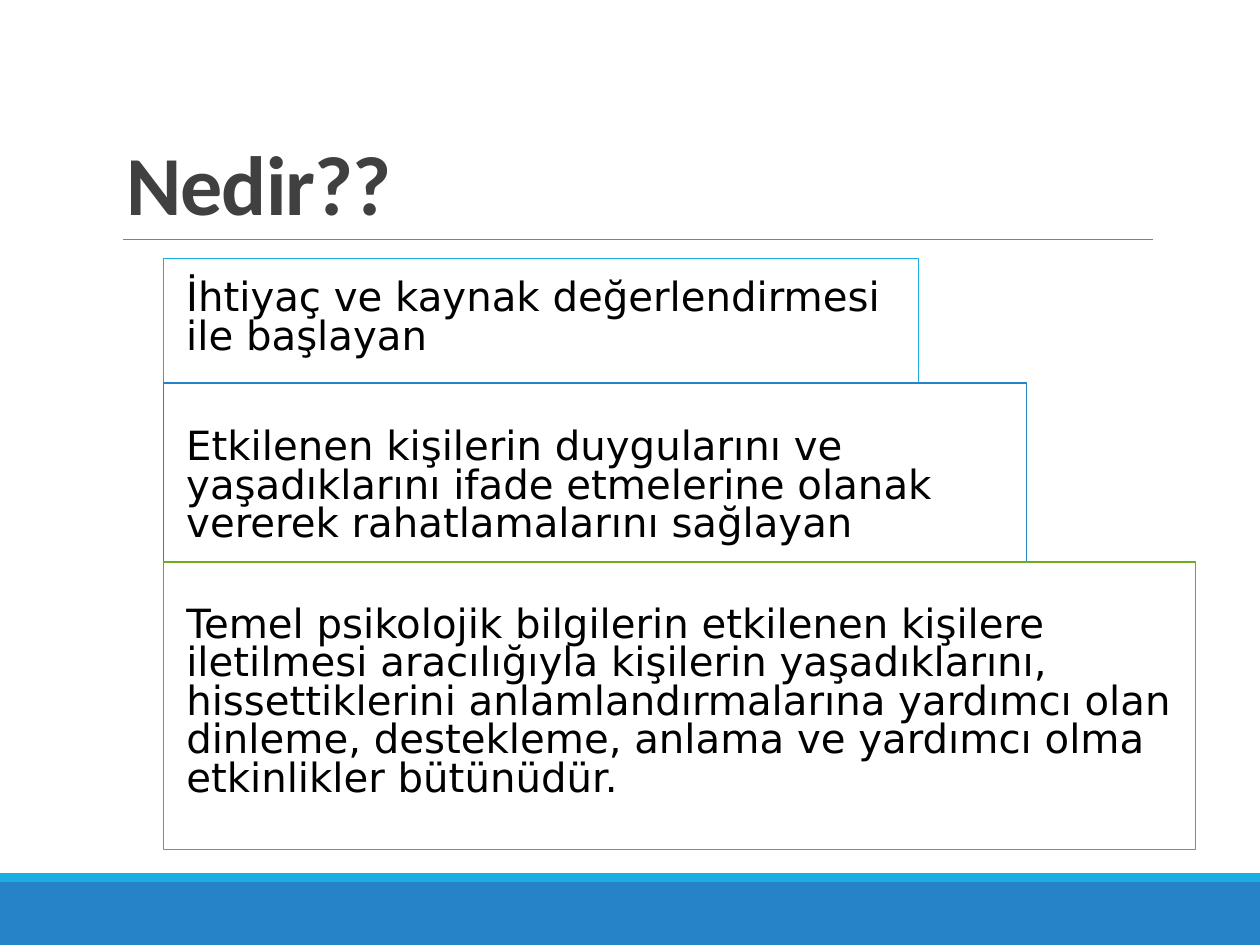
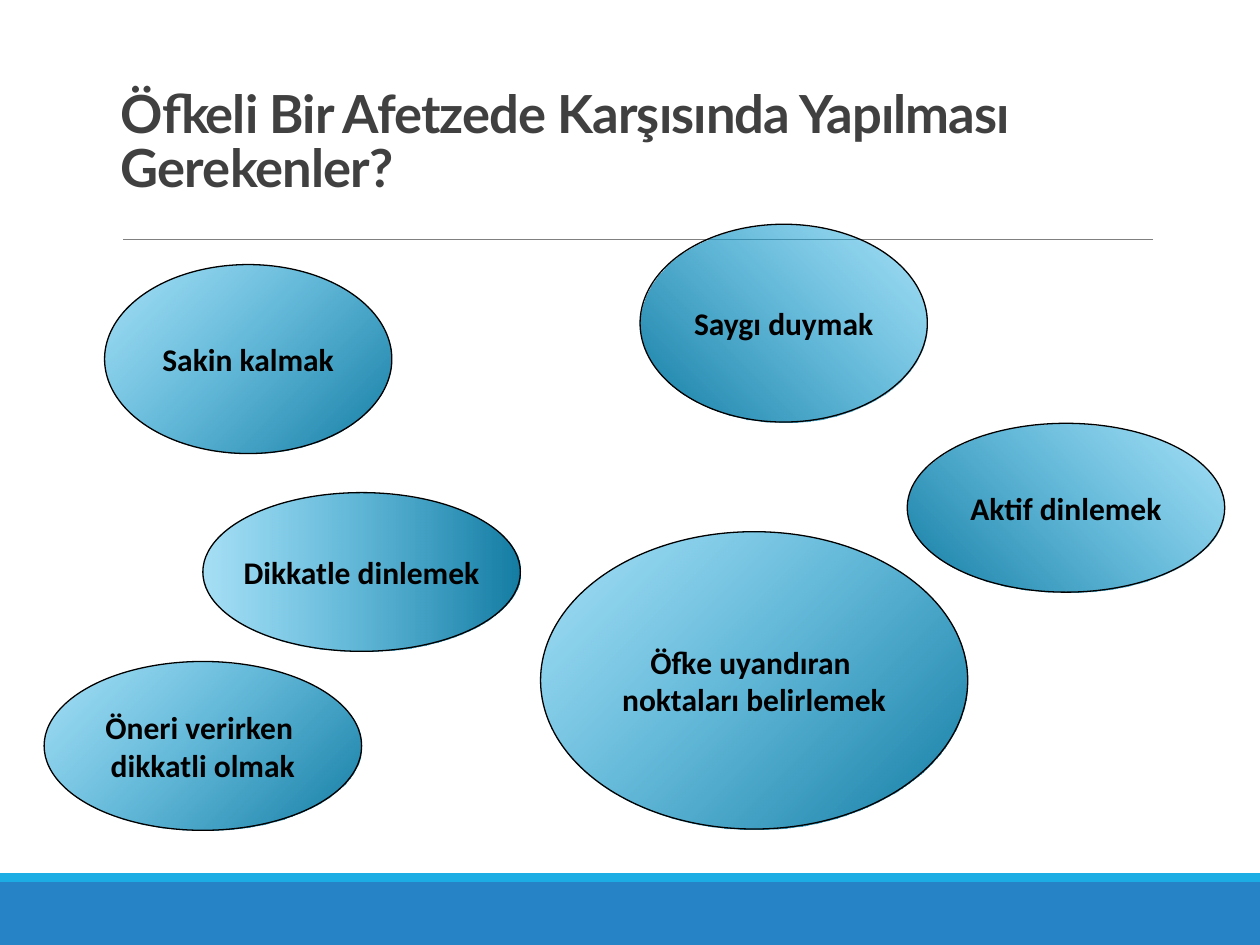
from lxml.etree import SubElement
from pptx import Presentation
from pptx.dml.color import RGBColor
from pptx.enum.shapes import MSO_CONNECTOR, MSO_SHAPE
from pptx.enum.text import MSO_ANCHOR, MSO_AUTO_SIZE, PP_ALIGN
from pptx.oxml.ns import qn
from pptx.util import Inches, Pt

SKY = RGBColor(0x1C, 0xAD, 0xE4)
BLUE = RGBColor(0x26, 0x83, 0xC6)
TEAL = RGBColor(0x14, 0x7C, 0xA3)
GREEN = RGBColor(0x6E, 0xAC, 0x1C)
GREY = RGBColor(0x80, 0x80, 0x80)
DARK = RGBColor(0x40, 0x40, 0x40)
BLACK = RGBColor(0, 0, 0)

# Content: title text, font, size, left, top
TITLES = [
    ("Nedir??", "Calibri", 48, 0.9, 0.31),
    ("Öfkeli Bir Afetzede Karşısında Yapılması Gerekenler?", "Lato", 30, 0.86, 0.03),
]

# Stacked steps: width, height, line colour, then text top, width, height
STEPS = [
    ("İhtiyaç ve kaynak değerlendirmesi ile başlayan",
     5.99, 0.99, SKY, 2.18, 6.06, 0.72),
    ("Etkilenen kişilerin duygularını ve yaşadıklarını ifade etmelerine "
     "olanak vererek rahatlamalarını sağlayan",
     6.85, 1.42, BLUE, 3.36, 6.77, 1.02),
    ("Temel psikolojik bilgilerin etkilenen kişilere iletilmesi aracılığıyla "
     "kişilerin yaşadıklarını, hissettiklerini anlamlandırmalarına yardımcı "
     "olan dinleme, destekleme, anlama ve yardımcı olma etkinlikler bütünüdür.",
     8.19, 2.28, GREEN, 4.77, 8.11, 2.21),
]

# Ovals: lines, place, clockwise angle of the gradient
OVALS = [
    (["Sakin kalmak"], (0.83, 2.1, 2.28, 1.5), 45),
    (["Dikkatle dinlemek"], (1.61, 3.91, 2.52, 1.26), 0),
    (["Saygı duymak"], (5.08, 1.78, 2.28, 1.57), 315),
    (["Öneri verirken ", "dikkatli olmak"], (0.35, 5.25, 2.52, 1.34), 45),
    (["Aktif dinlemek"], (7.2, 3.36, 2.52, 1.34), 315),
    (["Öfke uyandıran ", "noktaları belirlemek"], (4.29, 4.22, 3.39, 2.36), 45),
]


def place(*nums):
    return [Inches(n) for n in nums]


def write(para, text, face, size, color, bold=False):
    run = para.add_run()
    run.text = text
    font = run.font
    font.name, font.size, font.bold = face, Pt(size), bold
    font.color.rgb = color
    return run


def shape(slide, kind, box, fill=None, line=None):
    item = slide.shapes.add_shape(kind, *place(*box))
    item.shadow.inherit = False
    if fill is None:
        item.fill.background()
    else:
        item.fill.solid()
        item.fill.fore_color.rgb = fill
    if line is None:
        item.line.fill.background()
    else:
        item.line.color.rgb = line
        item.line.width = Pt(0.75)
    return item


def shade(item, angle):
    """Fade from pale sky to teal; the 315 ovals run the other way."""
    item.fill.gradient()
    item.fill.gradient_angle = (360 - angle) % 360
    tones = [TEAL, SKY] if angle == 315 else [SKY, TEAL]
    for stop, tone in zip(item.fill.gradient_stops, tones):
        stop.color.rgb = tone
    for node in item.element.spPr.iter(qn("a:srgbClr")):
        if node.get("val") == str(SKY):
            SubElement(node, qn("a:alpha")).set("val", "39000")


def start(deck, text, face, size, left, top):
    """New slide with the shared bands, rule and title."""
    slide = deck.slides.add_slide(deck.slide_layouts[5])
    shape(slide, MSO_SHAPE.RECTANGLE, (0, 7, 10, 0.5), BLUE)
    shape(slide, MSO_SHAPE.RECTANGLE, (0, 6.93, 10, 0.07), SKY)
    rule = slide.shapes.add_connector(
        MSO_CONNECTOR.STRAIGHT, *place(0.98, 1.9, 9.15, 1.9))
    rule.line.color.rgb = GREY
    rule.line.width = Pt(0.5)
    SubElement(rule.element.spPr, qn("a:effectLst"))

    title = slide.shapes.title
    title.left, title.top, title.width, title.height = place(left, top, 8.25, 1.59)
    frame = title.text_frame
    frame.auto_size = MSO_AUTO_SIZE.NONE
    frame.vertical_anchor = MSO_ANCHOR.BOTTOM
    para = frame.paragraphs[0]
    para.alignment = PP_ALIGN.LEFT
    para.line_spacing = 0.85
    run = write(para, text, face, size, DARK, True)
    run.font.element.set("spc", "-50") if hasattr(run.font, "element") else \
        run._r.get_or_add_rPr().set("spc", "-50")
    return slide


deck = Presentation()
deck.slide_width, deck.slide_height = place(10, 7.5)
first, second = [start(deck, *row) for row in TITLES]

# Slide 1: boxes stacked without gaps
top = 2.05
for text, wide, high, color, text_top, text_wide, text_high in STEPS:
    shape(first, MSO_SHAPE.RECTANGLE, (1.3, top, wide, high), line=color)
    top += high
    label = first.shapes.add_textbox(*place(1.38, text_top, text_wide, text_high))
    label.text_frame.word_wrap = True
    para = label.text_frame.paragraphs[0]
    para.line_spacing = 0.8
    para.space_before = Pt(4.6)
    write(para, text, "DejaVu Sans", 23, BLACK)

# Slide 2: shaded ovals
for lines, box, angle in OVALS:
    oval = shape(second, MSO_SHAPE.OVAL, box, line=BLACK)
    shade(oval, angle)
    frame = oval.text_frame
    frame.word_wrap = False
    frame.vertical_anchor = MSO_ANCHOR.MIDDLE
    for num, text in enumerate(lines):
        para = frame.add_paragraph() if num else frame.paragraphs[0]
        para.alignment = PP_ALIGN.CENTER
        write(para, text, "Calibri", 18, BLACK, True)

deck.save("out.pptx")
